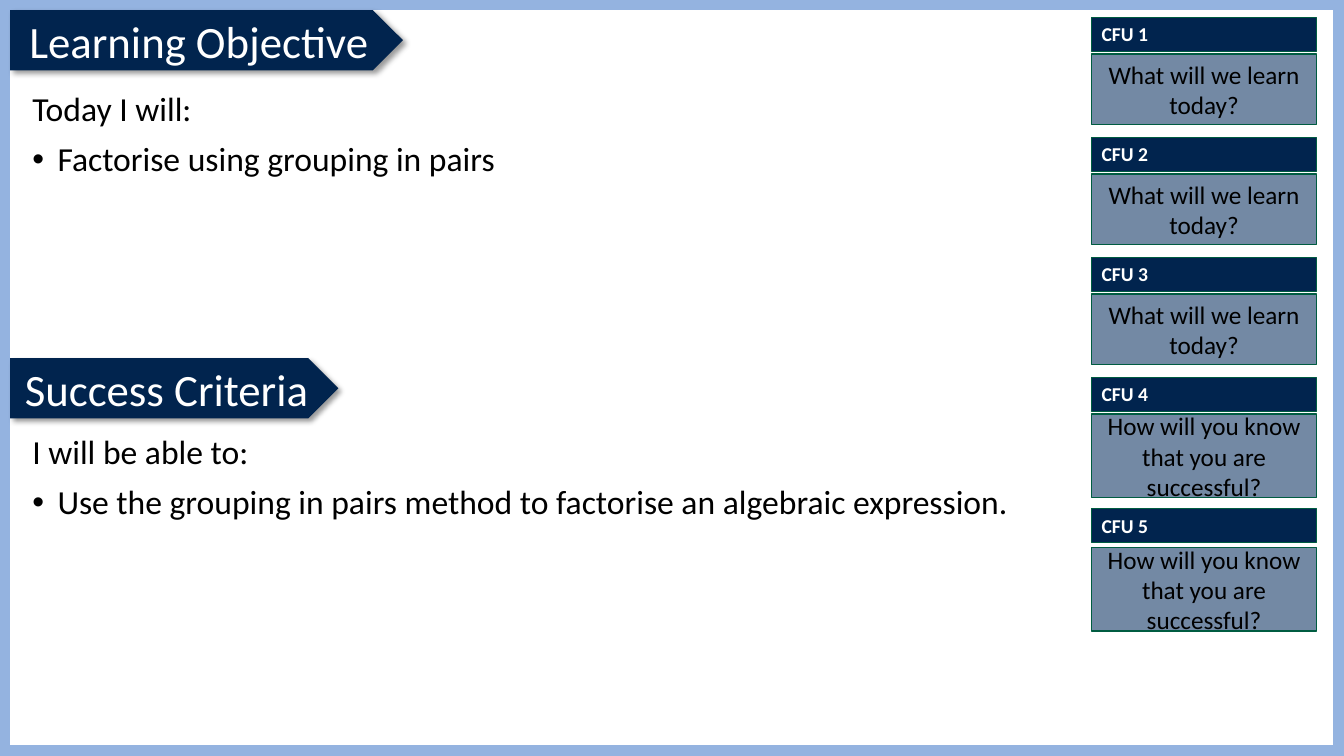
from dataclasses import dataclass

from lxml import etree
from pptx import Presentation
from pptx.dml.color import RGBColor
from pptx.enum import shapes, text
from pptx.oxml import ns
from pptx.util import Pt

COLOURS = {
    "frame": "94B3E0",
    "navy": "01244E",
    "panel": "163B68",
    "outline": "005C41",
    "white": "FFFFFF",
    "black": "000000",
}
FONT = "Calibri"
SLIDE_WIDTH, SLIDE_HEIGHT = 960, 540
CFU_LEFT, CFU_WIDTH, CFU_HEADER_HEIGHT = 779.8, 160.6, 24.4
CFU_TOP, CFU_PITCH = 12.3, 85.7
LEARN = "What will we learn today?"
KNOW = "How will you know that you are successful?"


@dataclass
class Box:
    left: float
    top: float
    width: float
    height: float

    def lengths(self) -> tuple:
        return Pt(self.left), Pt(self.top), Pt(self.width), Pt(self.height)


@dataclass
class Section:
    title: str
    banner: Box
    lead: str
    bullet: str
    body: Box


@dataclass
class Check:
    number: int
    question: str
    top: float
    question_top: float
    question_height: float


SECTIONS = [
    Section("Learning Objective", Box(7.2, 7.2, 280.6, 43),
            "Today I will:", "Factorise using grouping in pairs",
            Box(16, 62.6, 749, 186.5)),
    Section("Success Criteria", Box(7.2, 255.8, 234.5, 43),
            "I will be able to:",
            "Use the grouping in pairs method to factorise an algebraic expression.",
            Box(16, 307.6, 749, 196.5)),
]
CHECKS = [
    Check(index + 1, question, CFU_TOP + index * CFU_PITCH,
          CFU_TOP + index * CFU_PITCH + 26.4, height)
    for index, (question, height) in enumerate(
        [(LEARN, 50.4), (LEARN, 50.4), (LEARN, 50.4), (KNOW, 59.8)])
]
CHECKS.append(Check(5, KNOW, 363.2, 391, 59.8))


def colour(name: str) -> RGBColor:
    return RGBColor.from_string(COLOURS[name])


def add_element(parent, tag: str, **attributes: str):
    element = etree.SubElement(parent, ns.qn(tag))
    for name, value in attributes.items():
        element.set(name, value)
    return element


def write(paragraph, words: str, *, size: float, color: str = "black", bold: bool = False,
          align=text.PP_ALIGN.LEFT, bullet: bool = False,
          line_spacing: float = 1.0, space_before: float = 0) -> None:
    if bullet:
        properties = paragraph._p.get_or_add_pPr()
        properties.set("marL", str(Pt(18)))
        properties.set("indent", str(-Pt(18)))
        add_element(properties, "a:buFont", typeface="Arial")
        add_element(properties, "a:buChar", char="•")
    paragraph.alignment = align
    paragraph.line_spacing = line_spacing
    paragraph.space_before = Pt(space_before)
    run = paragraph.add_run()
    run.text = words
    run.font.name = FONT
    run.font.size = Pt(size)
    run.font.bold = bold
    run.font.color.rgb = colour(color)


def add_panel(slide, box: Box, *, kind=shapes.MSO_SHAPE.RECTANGLE, fill: str = "",
              line: str = "", line_width: float = 1):
    shape = slide.shapes.add_shape(kind, *box.lengths())
    shape.shadow.inherit = False
    if fill:
        shape.fill.solid()
        shape.fill.fore_color.rgb = colour(fill)
    else:
        shape.fill.background()
    if line:
        shape.line.color.rgb = colour(line)
        shape.line.width = Pt(line_width)
    else:
        shape.line.fill.background()
    shape.text_frame.word_wrap = True
    shape.text_frame.vertical_anchor = text.MSO_ANCHOR.MIDDLE
    return shape


def add_shadow(shape) -> None:
    effects = shape._element.spPr.find(ns.qn("a:effectLst"))
    shadow = add_element(effects, "a:outerShdw", blurRad=str(Pt(4)), dist=str(Pt(3)),
                         dir="2700000", algn="tl", rotWithShape="0")
    black = add_element(shadow, "a:srgbClr", val=COLOURS["black"])
    add_element(black, "a:alpha", val="40000")


def add_section(slide, section: Section) -> None:
    banner = add_panel(slide, section.banner, kind=shapes.MSO_SHAPE.PENTAGON, fill="navy")
    add_shadow(banner)
    write(banner.text_frame.paragraphs[0], section.title, size=32, color="white",
          align=text.PP_ALIGN.CENTER)
    frame = slide.shapes.add_textbox(*section.body.lengths()).text_frame
    frame.word_wrap = True
    write(frame.paragraphs[0], section.lead, size=24, line_spacing=0.9)
    write(frame.add_paragraph(), section.bullet, size=24, line_spacing=0.9,
          space_before=10, bullet=True)


def add_check(slide, check: Check) -> None:
    header = add_panel(slide, Box(CFU_LEFT, check.top, CFU_WIDTH, CFU_HEADER_HEIGHT),
                       fill="navy", line="outline", line_width=0.75)
    header.text_frame.vertical_anchor = text.MSO_ANCHOR.TOP
    write(header.text_frame.paragraphs[0], f"CFU {check.number}", size=14,
          color="white", bold=True)
    question = add_panel(
        slide, Box(CFU_LEFT, check.question_top, CFU_WIDTH, check.question_height),
        fill="panel", line="outline")
    fill_colour = question._element.spPr.find(ns.qn("a:solidFill"))[0]
    add_element(fill_colour, "a:alpha", val="60000")
    write(question.text_frame.paragraphs[0], check.question, size=18,
          align=text.PP_ALIGN.CENTER)


def main() -> None:
    presentation = Presentation()
    presentation.slide_width = Pt(SLIDE_WIDTH)
    presentation.slide_height = Pt(SLIDE_HEIGHT)
    slide = presentation.slides.add_slide(presentation.slide_layouts[6])

    # Frame around the slide
    add_panel(slide, Box(0, 0, SLIDE_WIDTH, SLIDE_HEIGHT), line="frame", line_width=15)

    # Objective and criteria
    for section in SECTIONS:
        add_section(slide, section)

    # Checks for understanding
    for check in CHECKS:
        add_check(slide, check)

    presentation.save("out.pptx")


if __name__ == "__main__":
    main()
